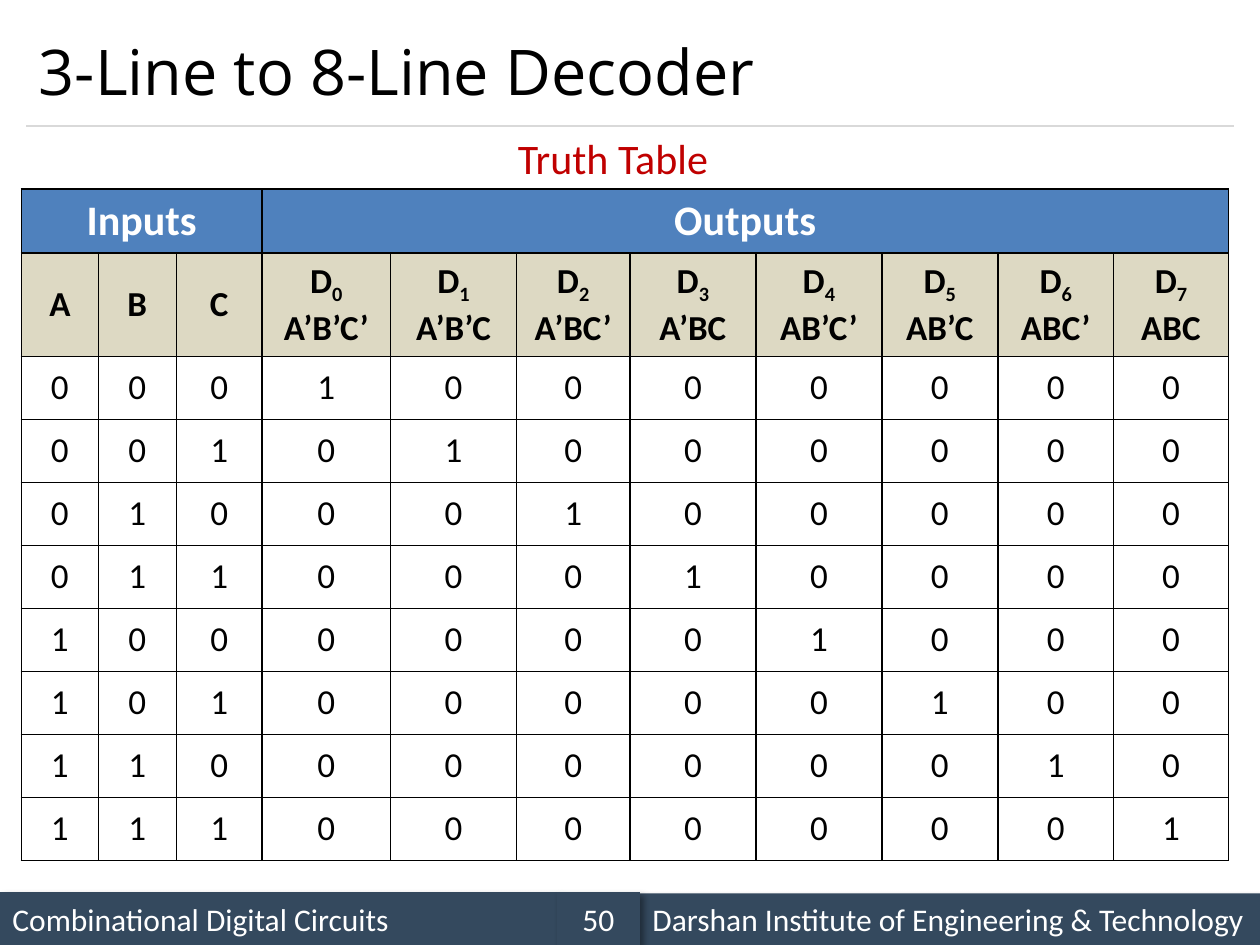
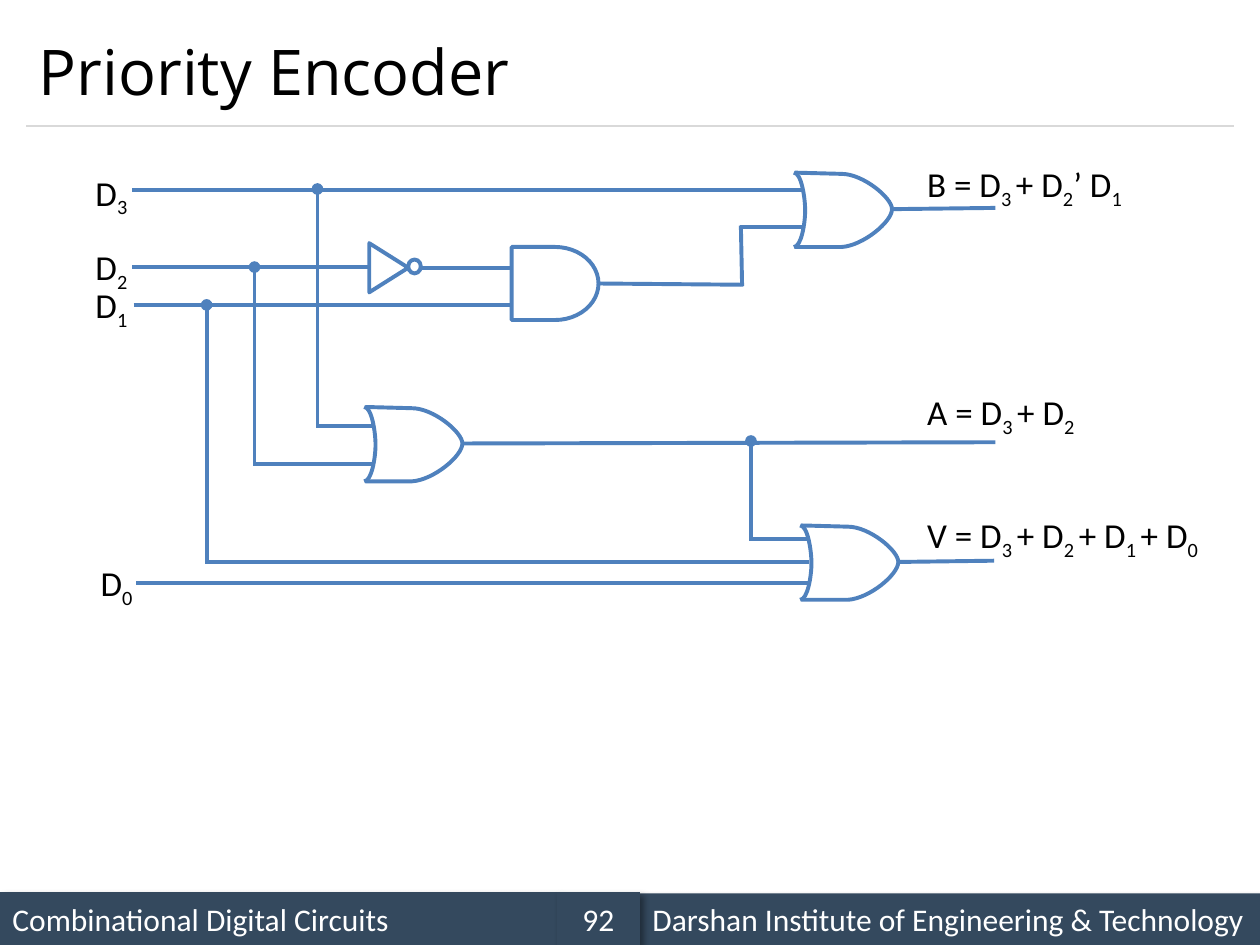
from lxml import etree
from pptx import Presentation
from pptx.dml.color import RGBColor
from pptx.enum.shapes import MSO_CONNECTOR, MSO_SHAPE
from pptx.enum.text import MSO_ANCHOR, PP_ALIGN
from pptx.oxml.ns import qn
from pptx.util import Inches, Pt

RECTANGLE, ELLIPSE = MSO_SHAPE.RECTANGLE, MSO_SHAPE.OVAL
TRIANGLE, AND_GATE = MSO_SHAPE.ISOSCELES_TRIANGLE, MSO_SHAPE.FLOWCHART_DELAY
STRAIGHT = MSO_CONNECTOR.STRAIGHT
LEFT, CENTER = PP_ALIGN.LEFT, PP_ALIGN.CENTER
TOP, MIDDLE = MSO_ANCHOR.TOP, MSO_ANCHOR.MIDDLE
RIGHT_SIDE = 3

BLACK, WHITE, RED = "000000", "FFFFFF", "C00000"
BLUE, BEIGE, NAVY, GRAY = "4F81BD", "DDD9C3", "34495E", "D9D9D9"
BODY_FONT, TITLE_FONT = "Calibri", "Open Sans"
WIRE_WIDTH = 2.25


def rgb(color):
    return RGBColor.from_string(color)


def add_element(parent, tag, **attributes):
    return etree.SubElement(parent, qn(tag), attributes)


def inches(values):
    return [Inches(value) for value in values]


def write(text_frame, text, size=20, font=BODY_FONT, color=BLACK, bold=False,
          align=LEFT, anchor=TOP, wrap=True):
    """Fill a text frame; "_" lowers the character that follows it."""
    text_frame.word_wrap = wrap
    text_frame.vertical_anchor = anchor
    for index, line in enumerate(text.split("\n")):
        paragraph = text_frame.paragraphs[0] if index == 0 else text_frame.add_paragraph()
        paragraph.alignment = align
        first, *rest = line.split("_")
        pieces = [(first, False)]
        for piece in rest:
            length = 2 if piece[1:2] == " " else 1
            pieces += [(piece[:length], True), (piece[length:], False)]
        for content, lowered in pieces:
            if not content:
                continue
            run = paragraph.add_run()
            run.text = content
            run.font.size, run.font.name, run.font.bold = Pt(size), font, bold
            run.font.color.rgb = rgb(color)
            if lowered:
                run.font._element.set("baseline", "-25000")


def add_text(slide, box, text, **text_format):
    write(slide.shapes.add_textbox(*inches(box)).text_frame, text, **text_format)


def style(shape, fill=None, line=None):
    shape.shadow.inherit = False
    if fill:
        shape.fill.solid()
        shape.fill.fore_color.rgb = rgb(fill)
    else:
        shape.fill.background()
    if line:
        shape.line.color.rgb = rgb(line)
        shape.line.width = Pt(WIRE_WIDTH)
    else:
        shape.line.fill.background()


def add_shape(slide, kind, box, fill=None, line=None):
    shape = slide.shapes.add_shape(kind, *inches(box))
    style(shape, fill, line)
    return shape


def add_line(slide, start, end, color=BLUE, width=WIRE_WIDTH, dot=False):
    """Draw a straight line, with a junction dot at its end if wanted."""
    line = slide.shapes.add_connector(STRAIGHT, *inches(start + end))
    line.line.color.rgb = rgb(color)
    line.line.width = Pt(width)
    if dot:
        add_element(line.line._get_or_add_ln(), "a:tailEnd", type="oval")
    add_element(line._element.spPr, "a:effectLst")
    return line


# Shared frame of every slide

def add_footer_band(slide, box, text, align=LEFT):
    band = add_shape(slide, RECTANGLE, box, fill=NAVY)
    effects = band._element.spPr.find(qn("a:effectLst"))
    shadow = add_element(effects, "a:outerShdw", blurRad=str(Pt(4)), dist=str(Pt(3)),
                         dir="2700000", algn="tl", rotWithShape="0")
    shade = add_element(shadow, "a:srgbClr", val=BLACK)
    add_element(shade, "a:alpha", val="40000")
    write(band.text_frame, text, size=18, color=WHITE, align=align, anchor=MIDDLE)


def add_framed_slide(presentation, title, number):
    slide = presentation.slides.add_slide(presentation.slide_layouts[6])
    add_footer_band(slide, (0, 7.08, 4.42, 0.42), "Combinational Digital Circuits")
    add_line(slide, (0.21, 1), (9.79, 1), GRAY, 0.75)
    add_footer_band(slide, (5.08, 7.09, 4.92, 0.41),
                    "Darshan Institute of Engineering & Technology")
    add_footer_band(slide, (4.42, 7.08, 0.66, 0.42), str(number), CENTER)
    add_text(slide, (0.21, 0.12, 9.58, 0.88), title, size=36, font=TITLE_FONT, anchor=MIDDLE)
    return slide


# Truth table

def fill_cell(cell, text, fill=None, **text_format):
    properties = cell._tc.get_or_add_tcPr()
    for side in ("a:lnL", "a:lnR", "a:lnT", "a:lnB"):
        border = add_element(properties, side, w=str(Pt(1)))
        add_element(add_element(border, "a:solidFill"), "a:srgbClr", val=BLACK)
    if fill:
        cell.fill.solid()
        cell.fill.fore_color.rgb = rgb(fill)
    else:
        cell.fill.background()
    write(cell.text_frame, text, align=CENTER, **text_format)
    cell.vertical_anchor = MIDDLE


def add_truth_table(slide, left, top):
    inputs = "ABC"
    codes = [format(number, "03b") for number in range(8)]
    minterms = ["".join(name + ("" if bit == "1" else "’") for name, bit in zip(inputs, code))
                for code in codes]
    labels = list(inputs) + [f"D_{n}\n{term}" for n, term in enumerate(minterms)]
    groups = {0: "Inputs", len(inputs): "Outputs"}
    widths = [0.61, 0.62, 0.68, 1.02, 1, 0.9, 1, 1, 0.92, 0.92, 0.91]
    heights = [0.51, 0.82] + [0.5] * len(codes)

    frame = slide.shapes.add_table(len(heights), len(widths),
                                   *inches((left, top, sum(widths), sum(heights))))
    table = frame.table
    table.first_row = table.horz_banding = False
    for column, width in zip(table.columns, widths):
        column.width = Inches(width)
    for row, height in zip(table.rows, heights):
        row.height = Inches(height)
    for column, label in enumerate(labels):
        fill_cell(table.cell(0, column), groups.get(column, ""), BLUE,
                  size=24, color=WHITE, bold=True)
        fill_cell(table.cell(1, column), label, BEIGE, bold=True)
    for number, code in enumerate(codes):
        outputs = "".join("1" if n == number else "0" for n in range(len(codes)))
        for column, bit in enumerate(code + outputs):
            fill_cell(table.cell(number + 2, column), bit)
    table.cell(0, 0).merge(table.cell(0, 2))
    table.cell(0, 3).merge(table.cell(0, len(widths) - 1))


def build_decoder_slide(presentation):
    slide = add_framed_slide(presentation, "3-Line to 8-Line Decoder", 50)
    add_truth_table(slide, 0.17, 1.5)
    add_text(slide, (4, 1, 1.73, 0.5), "Truth Table", size=24, color=RED,
             align=CENTER, wrap=False)


# Logic diagram

# Points of each outline, and the index of the first point of each curve's three
OR_FRONT = [(0.01, 0), (0.38, 0.01), (0.55, 0.01), (0.78, 0.2), (0.78, 0.29),
            (0.78, 0.39), (0.55, 0.58), (0.38, 0.59), (0.01, 0.59)], (2, 5)
OR_BACK = [(0, 0.59), (0.06, 0.59), (0.09, 0.4), (0.09, 0.3),
           (0.09, 0.2), (0.06, 0), (0, 0)], (1, 4)


def add_curved_outline(slide, left, top, points, curve_starts):
    """Draw an open outline whose marked triples of points are Bezier curves."""
    corners = [(Inches(left + x), Inches(top + y)) for x, y in points]
    builder = slide.shapes.build_freeform(*corners[0], scale=1.0)
    builder.add_line_segments(corners[1:], close=False)
    shape = builder.convert_to_shape()
    segments = list(next(shape._element.iter(qn("a:path"))))
    for start in curve_starts:
        bezier = etree.Element(qn("a:cubicBezTo"))
        segments[start].addprevious(bezier)
        for segment in segments[start:start + 3]:
            bezier.append(segment[0])
            segment.getparent().remove(segment)
    style(shape, line=BLUE)


def add_or_gate(slide, left, top, inputs, output_end):
    """Inputs are pairs of the wire's start and its offset below the gate's top."""
    for start, offset in inputs:
        add_line(slide, (start, top + offset), (left + 0.07, top + offset))
    add_line(slide, (left + 0.79, top + 0.29), (output_end, top + 0.28))
    for points, curve_starts in (OR_FRONT, OR_BACK):
        add_curved_outline(slide, left, top, points, curve_starts)


def add_inverter(slide, left, middle):
    add_shape(slide, TRIANGLE, (left, middle - 0.16, 0.39, 0.31), WHITE, BLUE).rotation = 90
    add_shape(slide, ELLIPSE, (left + 0.35, middle - 0.07, 0.1, 0.11), WHITE, BLUE)
    add_line(slide, (left - 0.23, middle - 0.01), (left + 0.04, middle - 0.01))
    add_line(slide, (left + 0.44, middle), (left + 0.71, middle))


def add_priority_circuit(slide):
    and_gate = add_shape(slide, AND_GATE, (4.06, 1.96, 0.69, 0.58), line=BLUE)
    add_or_gate(slide, 2.89, 3.23, [(2.51, 0.15), (2.01, 0.45)], 7.9)
    add_or_gate(slide, 6.35, 4.17, [(5.95, 0.11), (5.96, 0.29), (5.96, 0.46)], 7.89)
    add_or_gate(slide, 6.3, 1.37, [(5.92, 0.14), (5.87, 0.43)], 7.9)
    add_inverter(slide, 2.89, 2.13)

    for start, end, y in [(1.05, 2.67, 2.12), (3.56, 4.07, 2.13), (1.06, 4.07, 2.42),
                          (1.05, 5.93, 1.51), (1.08, 5.97, 4.63), (1.63, 6, 4.46)]:
        add_line(slide, (start, y), (end, y))
    and_output = add_line(slide, (4.75, 2.25), (5.9, 2.26))
    and_output.begin_connect(and_gate, RIGHT_SIDE)
    add_line(slide, (5.89, 2.27), (5.88, 1.79))
    for x, start, junction in [(2.52, 3.39, 1.5), (2.02, 3.69, 2.12),
                               (1.64, 4.47, 2.42), (5.96, 4.29, 3.5)]:
        add_line(slide, (x, start), (x, junction), dot=True)


def build_encoder_slide(presentation):
    slide = add_framed_slide(presentation, "Priority Encoder", 92)
    add_priority_circuit(slide)
    for text, left, top in [("D_3", 0.66, 1.31), ("D_2", 0.66, 1.9),
                            ("D_1", 0.66, 2.2), ("D_0", 0.7, 4.41)]:
        add_text(slide, (left, top, 0.63, 0.44), text)
    for text, top, width in [("B = D_3 + D_2’ D_1", 1.24, 2), ("A = D_3 + D_2", 3.05, 2),
                             ("V = D_3 + D_2 + D_1 + D_0", 4.03, 2.45)]:
        add_text(slide, (7.26, top, width, 0.44), text)


def main():
    presentation = Presentation()
    presentation.slide_width, presentation.slide_height = inches((10, 7.5))
    build_decoder_slide(presentation)
    build_encoder_slide(presentation)
    presentation.save("out.pptx")


if __name__ == "__main__":
    main()
